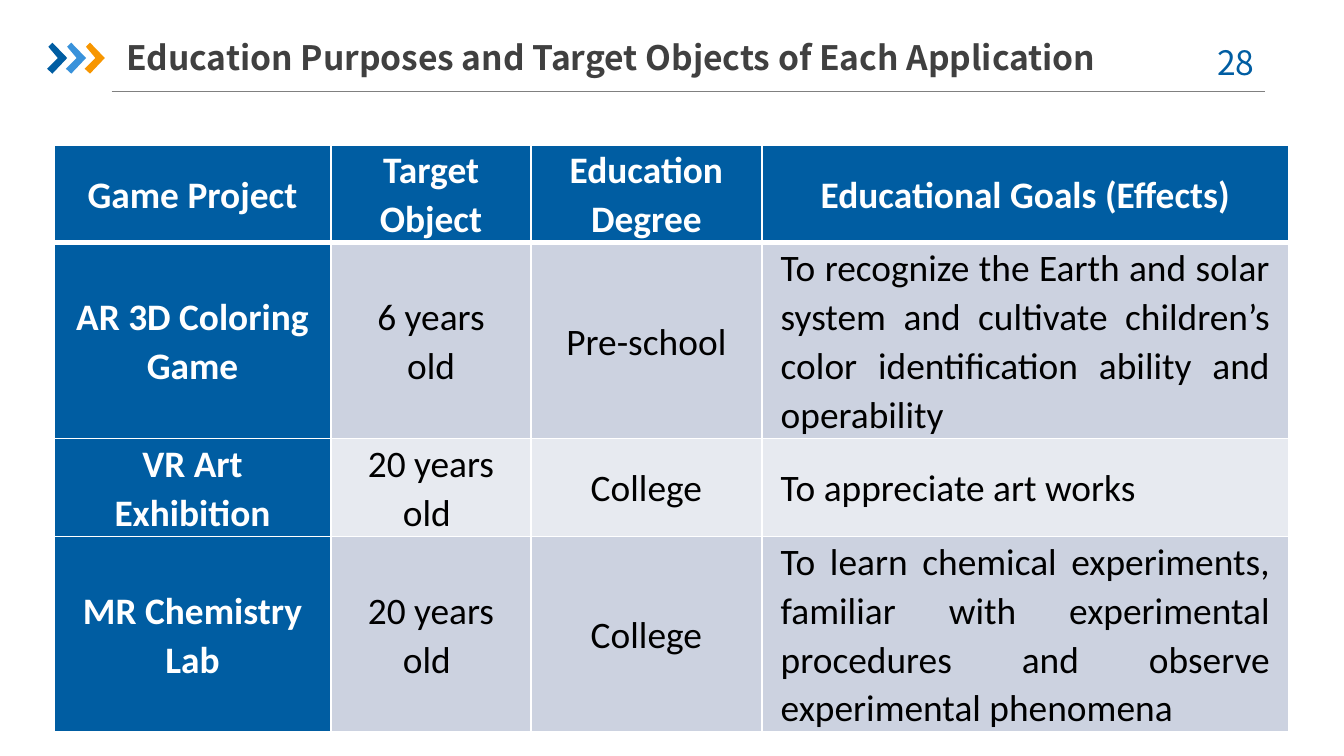
from lxml import etree
from pptx import Presentation
from pptx import util as u
from pptx.dml import color
from pptx.enum import shapes, text
from pptx.oxml import ns

BLUE, WHITE = "005DA2", "FFFFFF"
HEAD_FONT, TABLE_FONT = "Noto Sans CJK SC", "Calibri"

# Widescreen page, 16 to 9
deck = Presentation()
deck.slide_width = u.Inches(10)
deck.slide_height = deck.slide_width * 9 // 16


def rgb(code):
    return color.RGBColor.from_string(code)


def share(across, down):
    """Turn percentages of the slide's width and height into lengths."""
    return round(deck.slide_width * across / 100), round(deck.slide_height * down / 100)


page = deck.slides.add_slide(deck.slide_layouts[5])

# Rule under the heading
rule = page.shapes.add_connector(
    shapes.MSO_CONNECTOR.STRAIGHT, *share(8.3, 12.15), *share(94.1, 12.15))
rule.line.color.rgb = rgb("808080")
rule.line.width = u.Pt(0.75)
etree.SubElement(rule._element.spPr, ns.qn("a:effectLst"))

# Three chevrons, each one step further right
chevron = [(0.1, 6.2), (0.4, 5.65), (1.5, 7.68), (0.4, 9.75), (0, 9.1), (0.8, 7.68)]
for step, fill in enumerate((BLUE, "3992DB", "F79600")):
    points = [share(3.5 + 1.4 * step + x, y) for x, y in chevron]
    outline = page.shapes.build_freeform(*points[0])
    outline.add_line_segments(points[1:], close=True)
    arrow = outline.convert_to_shape()
    arrow.shadow.inherit = False
    arrow.fill.solid()
    arrow.fill.fore_color.rgb = rgb(fill)
    arrow.line.fill.background()

# Heading and page number
title = page.shapes.title
title.left, title.top = share(9.4, 3.85)
title.width, title.height = share(75.2, 7.47)
number = page.shapes.add_textbox(*share(88.6, 4.63), *share(7.3, 7.12))
for box, words, ink, bold, align in (
    (title, "Education Purposes and Target Objects of Each Application",
     "404040", True, text.PP_ALIGN.LEFT),
    (number, "28 ", BLUE, False, text.PP_ALIGN.CENTER),
):
    box.text_frame.word_wrap = True
    box.text_frame.auto_size = text.MSO_AUTO_SIZE.NONE
    para = box.text_frame.paragraphs[0]
    para.alignment = align
    span = para.add_run()
    span.text = words
    span.font.name, span.font.size, span.font.bold = HEAD_FONT, u.Pt(18), bold
    span.font.color.rgb = rgb(ink)
title.text_frame.margin_left = title.text_frame.margin_right = 0
title.text_frame.vertical_anchor = text.MSO_ANCHOR.MIDDLE

# Table of applications
rows = [
    ("Game Project", "Target Object", "Education Degree", "Educational Goals (Effects)"),
    ("AR 3D Coloring Game", "6 years old", "Pre-school",
     "To recognize the Earth and solar system and cultivate children’s color "
     "identification ability and operability"),
    ("VR Art Exhibition", "20 years old ", "College", "To appreciate art works"),
    ("MR Chemistry Lab", "20 years old ", "College",
     "To learn chemical experiments, familiar with experimental procedures and "
     "observe experimental phenomena"),
]
column_shares = (20.65, 14.85, 17.2, 39.2)
row_shares = (12.25, 24.5, 12.25, 24.5)
table = page.shapes.add_table(
    len(rows), len(column_shares), *share(4, 19.2), *share(91.9, 74.85)).table
for column, width in zip(table.columns, column_shares):
    column.width = share(width, 0)[0]
for row, height in zip(table.rows, row_shares):
    row.height = share(0, height)[1]

for r, row in enumerate(rows):
    for c, words in enumerate(row):
        cell = table.cell(r, c)
        heading = r == 0 or c == 0
        cell.margin_left = cell.margin_right = u.Inches(0.14)
        cell.margin_top = cell.margin_bottom = 0
        if (r, c) != (0, 2):
            cell.vertical_anchor = text.MSO_ANCHOR.MIDDLE

        # White borders, thicker under the header
        for side in ("L", "R", "T", "B"):
            thick = (r, side) in ((0, "B"), (1, "T"))
            border = etree.SubElement(cell._tc.get_or_add_tcPr(), ns.qn(f"a:ln{side}"),
                                      w=str(u.Pt(3 if thick else 1)))
            paint = etree.SubElement(border, ns.qn("a:solidFill"))
            etree.SubElement(paint, ns.qn("a:srgbClr"), val=WHITE)
        cell.fill.solid()
        cell.fill.fore_color.rgb = rgb(BLUE if heading else "CCD2E0" if r % 2 else "E7EAF0")

        para = cell.text_frame.paragraphs[0]
        goal = r > 0 and c == 3
        para.alignment = text.PP_ALIGN.JUSTIFY if goal else text.PP_ALIGN.CENTER
        para.line_spacing = 1.07
        span = para.add_run()
        span.text = words
        span.font.name, span.font.size, span.font.bold = TABLE_FONT, u.Pt(20), heading
        span.font.color.rgb = rgb(WHITE if heading else "000000")

deck.save("out.pptx")
